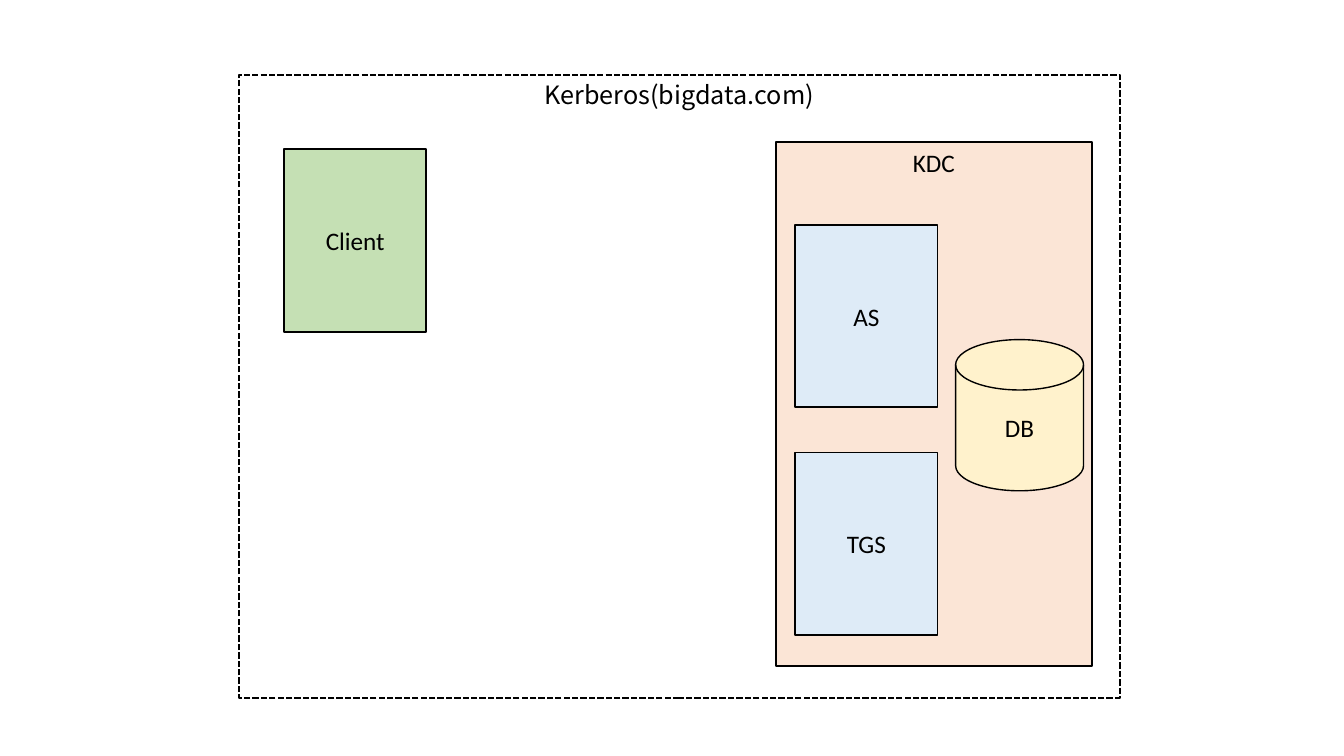
import pptx
import pptx.dml.color
import pptx.enum.dml
import pptx.enum.shapes
import pptx.enum.text
import pptx.util

Pt = pptx.util.Pt
RGB = pptx.dml.color.RGBColor
Kind = pptx.enum.shapes.MSO_SHAPE
Anchor = pptx.enum.text.MSO_ANCHOR
Dash = pptx.enum.dml.MSO_LINE

BLACK = RGB(0x00, 0x00, 0x00)
PEACH = RGB(0xFB, 0xE5, 0xD6)
BLUE = RGB(0xDE, 0xEB, 0xF7)
CREAM = RGB(0xFF, 0xF2, 0xCC)
GREEN = RGB(0xC5, 0xE0, 0xB4)


class Board:
    font = "Calibri"
    size = 18

    def __init__(self, slide):
        self.slide = slide

    def node(self, text, x, y, w, h, fill, kind=Kind.RECTANGLE, line=1.25):
        """Draw a filled shape with its label in the middle."""
        shape = self.slide.shapes.add_shape(kind, Pt(x), Pt(y), Pt(w), Pt(h))
        shape.shadow.inherit = False
        shape.fill.solid()
        shape.fill.fore_color.rgb = fill
        shape.line.color.rgb = BLACK
        shape.line.width = Pt(line)
        frame = shape.text_frame
        frame.text = text
        frame.vertical_anchor = Anchor.MIDDLE
        label = frame.paragraphs[0]
        label.alignment = pptx.enum.text.PP_ALIGN.CENTER
        label.font.name = self.font
        label.font.size = Pt(self.size)
        label.font.color.rgb = BLACK
        return shape

    def group(self, text, x, y, w, h, fill):
        """Draw a container with its label at the top."""
        shape = self.node(text, x, y, w, h, fill)
        shape.text_frame.vertical_anchor = Anchor.TOP
        return shape

    def realm(self, text, x, y, w, h):
        """Draw the unfilled, dashed outer border."""
        shape = self.group(text, x, y, w, h, PEACH)
        shape.fill.background()
        shape.line.width = Pt(1.5)
        shape.line.dash_style = Dash.SQUARE_DOT
        shape.text_frame.paragraphs[0].font.name = "Noto Sans CJK SC"


def main():
    deck = pptx.Presentation()
    deck.slide_width, deck.slide_height = Pt(960), Pt(540)
    board = Board(deck.slides.add_slide(deck.slide_layouts[6]))

    wide, high = 101.5, 130.3
    board.realm("Kerberos(bigdata.com)", 170.6, 53.3, 629.3, 445)
    board.group("KDC", 554.4, 101.5, 225.4, 374.4, PEACH)
    for row, name in enumerate(("AS", "TGS")):
        board.node(name, 568.1, 160.6 + row * 162.7, wide, high, BLUE)
    board.node("DB", 682.6, 242.6, 91.4, 108, CREAM,
               Kind.FLOWCHART_MAGNETIC_DISK, 1)
    board.node("Client", 203, 106.6, wide, high, GREEN)

    deck.save("out.pptx")


if __name__ == "__main__":
    main()
